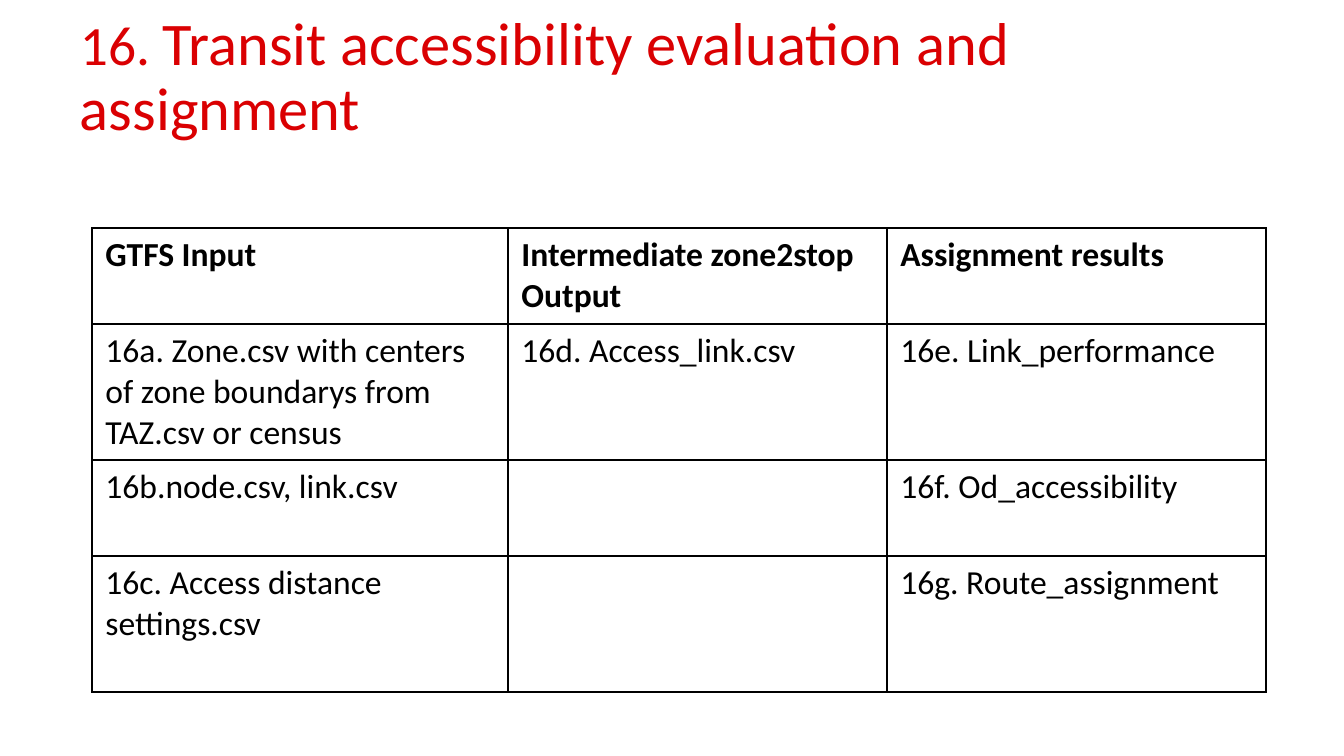
from lxml.etree import SubElement
from pptx import Presentation
from pptx.dml.color import RGBColor
from pptx.enum.text import MSO_ANCHOR as Anchor
from pptx.oxml.ns import qn
from pptx.util import Pt

EMU_PER_PX = 914400 / 134.4
RED = RGBColor(0xDA, 0x00, 0x02)
BLACK = RGBColor(0x00, 0x00, 0x00)

COLUMN_WIDTHS = [416, 379, 379]
ROW_HEIGHTS = [96, 136, 96, 136]
FILES = [
    ["GTFS Input", "Intermediate zone2stop Output", "Assignment results"],
    ["16a. Zone.csv with centers of zone boundarys from TAZ.csv or census",
     "16d. Access_link.csv", "16e. Link_performance"],
    ["16b.node.csv, link.csv", "", "16f. Od_accessibility"],
    ["16c. Access distance settings.csv", "", "16g. Route_assignment"],
]


def px(length):
    return round(length * EMU_PER_PX)


class SlideBuilder:
    font_name = "Calibri"
    cell_size = 18
    border_width = 1

    def __init__(self, slide):
        self.slide = slide

    def style(self, font, size, color, bold=False):
        font.name = self.font_name
        font.size = Pt(size)
        font.color.rgb = color
        font.bold = bold

    def title(self, left, top, width, height, parts):
        shape = self.slide.shapes.add_textbox(px(left), px(top), px(width), px(height))
        frame = shape.text_frame
        frame.word_wrap = True
        frame.vertical_anchor = Anchor.BOTTOM
        frame.margin_left = frame.margin_right = px(13)
        frame.margin_top = frame.margin_bottom = px(13)
        paragraph = frame.paragraphs[0]
        paragraph.line_spacing = 0.9
        for text, size in parts:
            run = paragraph.add_run()
            run.text = text
            self.style(run.font, size, RED)

    def border(self, cell):
        properties = cell._tc.get_or_add_tcPr()
        for side in ("a:lnL", "a:lnR", "a:lnT", "a:lnB"):
            line = SubElement(properties, qn(side), w=str(Pt(self.border_width)))
            fill = SubElement(line, qn("a:solidFill"))
            SubElement(fill, qn("a:srgbClr"), val=str(BLACK))

    def table(self, left, top, widths, heights, rows):
        table = self.slide.shapes.add_table(
            len(rows), len(widths), px(left), px(top), px(sum(widths)), px(sum(heights))
        ).table
        table.first_row = table.horz_banding = False
        for column, width in zip(table.columns, widths):
            column.width = px(width)
        for row, height in zip(table.rows, heights):
            row.height = px(height)
        for row_index, texts in enumerate(rows):
            for column_index, text in enumerate(texts):
                cell = table.cell(row_index, column_index)
                cell.text = text
                self.style(cell.text_frame.paragraphs[0].font, self.cell_size, BLACK,
                           bold=row_index == 0)
                self.border(cell)
                cell.fill.background()


def main():
    presentation = Presentation()
    presentation.slide_width = px(1344)
    presentation.slide_height = px(756)
    builder = SlideBuilder(presentation.slides.add_slide(presentation.slide_layouts[6]))
    builder.title(67, 31, 1246, 126, [
        ("16. ", 29.7),
        ("Transit accessibility evaluation and assignment", 32.4),
    ])
    builder.table(92, 228, COLUMN_WIDTHS, ROW_HEIGHTS, FILES)
    presentation.save("out.pptx")


if __name__ == "__main__":
    main()
